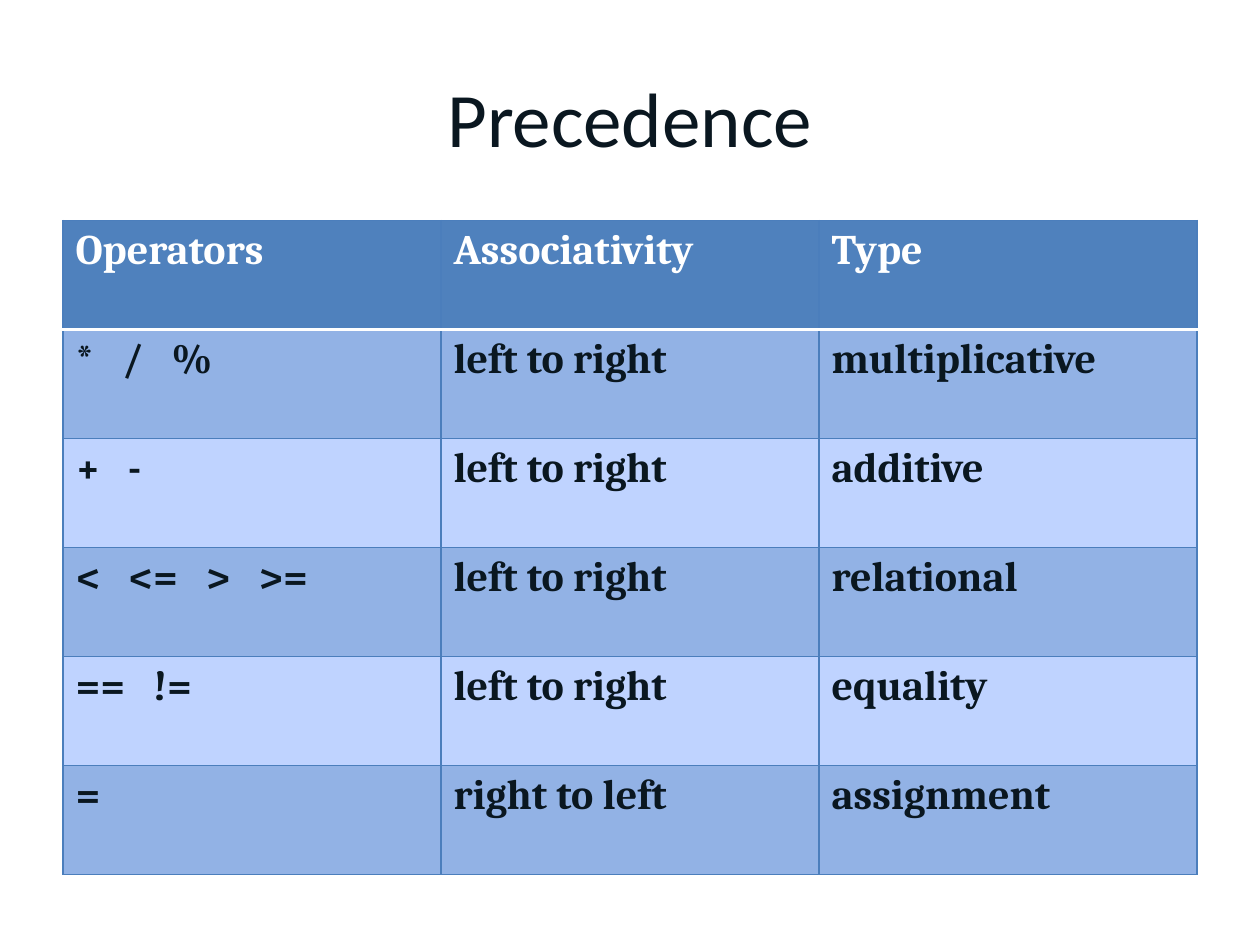
from lxml.etree import SubElement
from pptx import Presentation
from pptx.dml.color import RGBColor
from pptx.enum.text import MSO_ANCHOR as Anchor, PP_ALIGN as Align
from pptx.oxml.ns import qn
from pptx.util import Pt

INK, WHITE, HEADER, GRID = "0A1720", "FFFFFF", "4F81BD", "4B7EBC"
BANDS = ("92B2E5", "BFD3FF")
ROWS = [
    ("Operators", "Associativity", "Type"),
    ("* / %", "left to right", "multiplicative"),
    ("+ -", "left to right", "additive"),
    ("< <= > >=", "left to right", "relational"),
    ("== !=", "left to right", "equality"),
    ("=", "right to left", "assignment"),
]


def color(value):
    return RGBColor.from_string(value)


class SlideBuilder:
    """Adds styled elements to the current slide."""

    title_format = {"name": "Calibri", "size": Pt(44), "bold": False}
    cell_format = {"name": "Cambria", "size": Pt(24), "bold": True}
    operator_gap = 10.6

    def __init__(self, slide):
        self.slide = slide

    def run(self, paragraph, text, font_format, ink):
        run = paragraph.add_run()
        run.text = text
        for name, value in font_format.items():
            setattr(run.font, name, value)
        run.font.color.rgb = color(ink)
        return run

    def title(self, text, left, top, width, height):
        shape = self.slide.shapes.add_textbox(Pt(left), Pt(top), Pt(width), Pt(height))
        frame = shape.text_frame
        frame.word_wrap = True
        frame.vertical_anchor = Anchor.MIDDLE
        paragraph = frame.paragraphs[0]
        paragraph.alignment = Align.CENTER
        self.run(paragraph, text, self.title_format, INK)

    def border(self, cell, side, ink, width):
        properties = cell._tc.get_or_add_tcPr()
        line = SubElement(properties, qn(f"a:ln{side}"), w=str(Pt(width)))
        fill = SubElement(line, qn("a:solidFill"))
        SubElement(fill, qn("a:srgbClr"), val=ink)

    def operators(self, paragraph, text):
        for index, operator in enumerate(text.split()):
            if index:
                gap = self.run(paragraph, " ", self.cell_format, INK)
                gap.font._element.set("spc", str(round(self.operator_gap * 100)))
            self.run(paragraph, operator, self.cell_format, INK)

    def cell(self, cell, text, row, column):
        rule = {"L": (GRID, 0.75), "R": (GRID, 0.75), "T": (GRID, 0.75), "B": (GRID, 0.75)}
        if row < 2:
            rule["T" if row else "B"] = (WHITE, 2)
        for side, (ink, width) in rule.items():
            self.border(cell, side, ink, width)
        cell.fill.solid()
        cell.fill.fore_color.rgb = color(BANDS[(row - 1) % 2] if row else HEADER)
        paragraph = cell.text_frame.paragraphs[0]
        if row and column == 0:
            self.operators(paragraph, text)
        else:
            self.run(paragraph, text, self.cell_format, INK if row else WHITE)

    def table(self, rows, left, top, width, height):
        frame = self.slide.shapes.add_table(
            len(rows), len(rows[0]), Pt(left), Pt(top), Pt(width), Pt(height)
        )
        table = frame.table
        table.horz_banding = False
        for row, texts in enumerate(rows):
            for column, text in enumerate(texts):
                self.cell(table.cell(row, column), text, row, column)


def main():
    presentation = Presentation()
    presentation.slide_width, presentation.slide_height = Pt(720), Pt(540)
    slide = presentation.slides.add_slide(presentation.slide_layouts[6])
    builder = SlideBuilder(slide)
    builder.title("Precedence", 36, 21.6, 648, 90)
    builder.table(ROWS, 36, 126, 648, 373.8)
    presentation.save("out.pptx")


if __name__ == "__main__":
    main()
